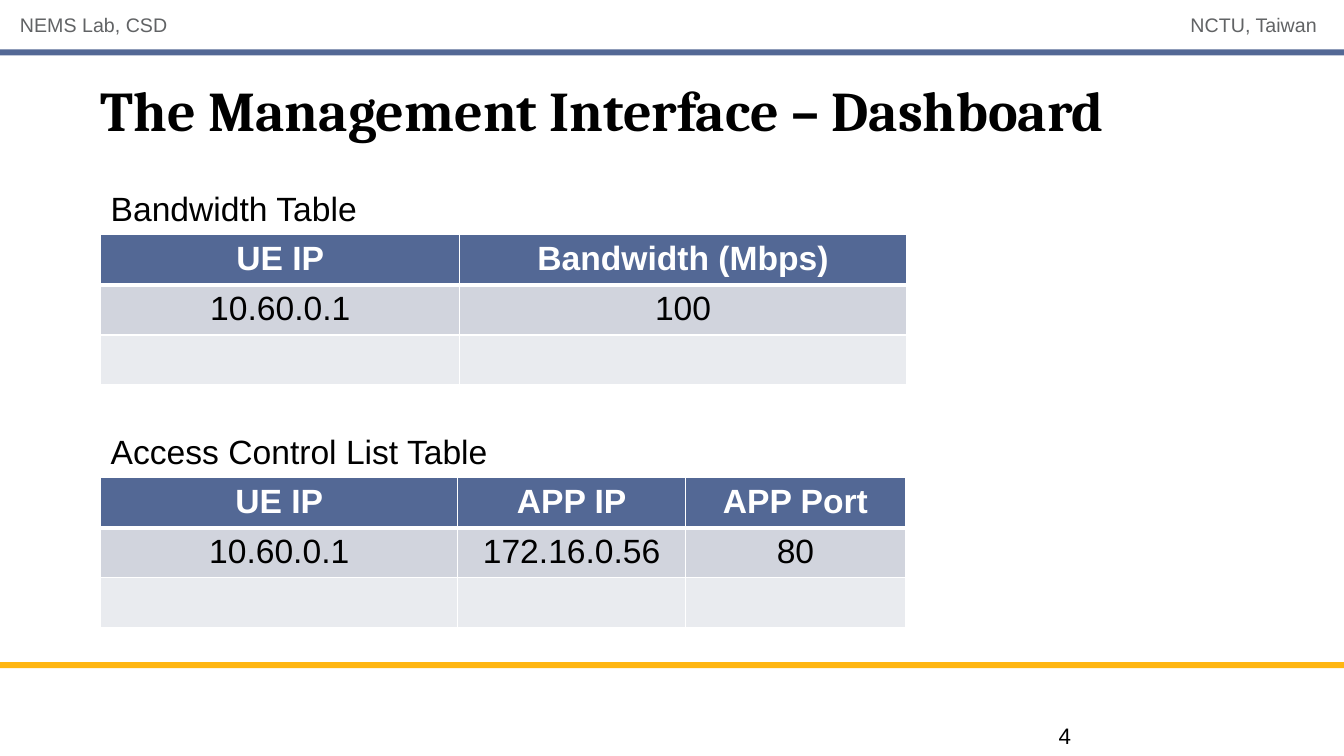
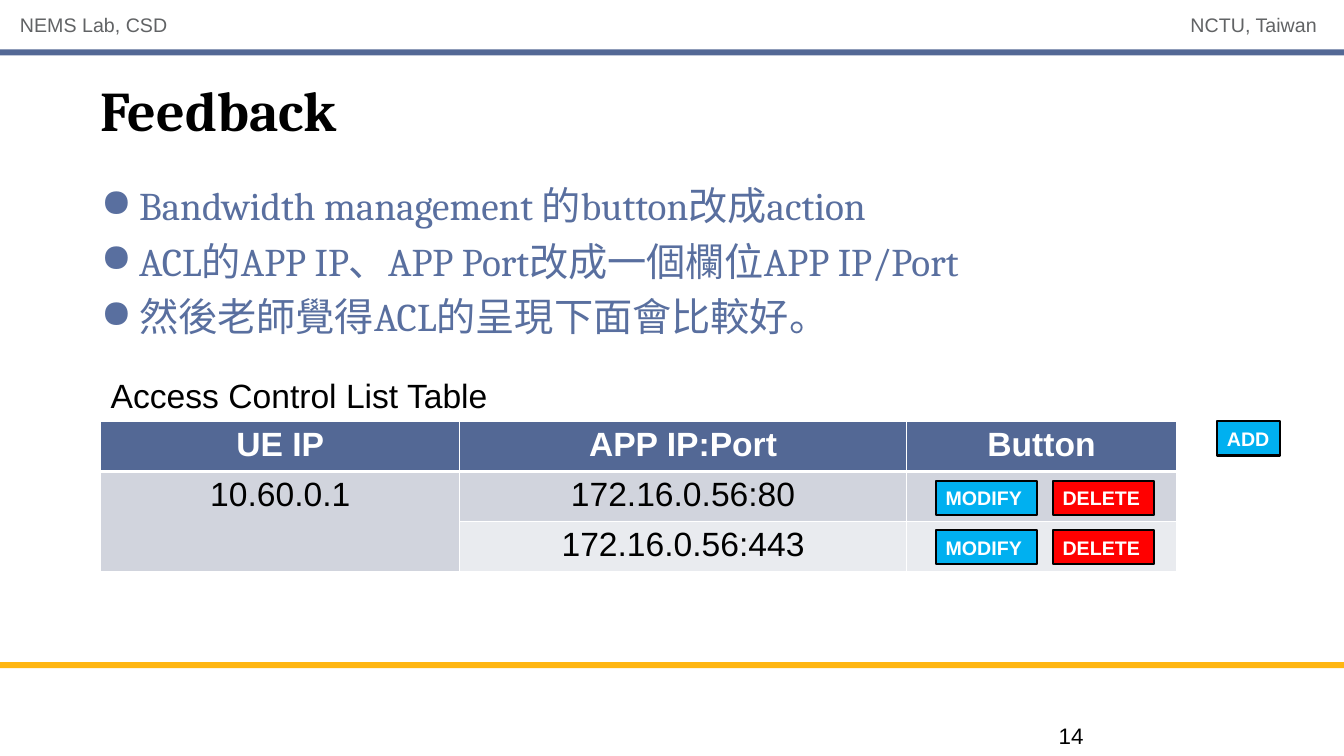
from dataclasses import dataclass

from lxml import etree
from pptx import Presentation
from pptx.dml.color import RGBColor
from pptx.enum.shapes import MSO_SHAPE
from pptx.enum.text import MSO_ANCHOR, MSO_AUTO_SIZE, PP_ALIGN
from pptx.oxml.ns import qn
from pptx.util import Inches, Pt

RECTANGLE = MSO_SHAPE.RECTANGLE
MIDDLE, TOP = MSO_ANCHOR.MIDDLE, MSO_ANCHOR.TOP
LEFT, CENTER, RIGHT = PP_ALIGN.LEFT, PP_ALIGN.CENTER, PP_ALIGN.RIGHT
NO_FIT = MSO_AUTO_SIZE.NONE


@dataclass(frozen=True)
class Theme:
    navy: str = "536895"
    gold: str = "FFB612"
    gray: str = "616365"
    bullet: str = "596F9F"
    black: str = "000000"
    white: str = "FFFFFF"
    row_dark: str = "D1D4DD"
    row_light: str = "E9EBEF"
    blue: str = "00B0F0"
    red: str = "FF0000"
    sans: str = "Arial"
    serif: str = "Cambria"


THEME = Theme()
STYLES = {
    "title": dict(name=THEME.serif, size=Pt(40), bold=True, color=THEME.black),
    "bullet": dict(name=THEME.serif, size=Pt(28), bold=False, color=THEME.bullet),
    "caption": dict(name=THEME.sans, size=Pt(24), bold=False, color=THEME.black),
    "table_head": dict(name=THEME.sans, size=Pt(24), bold=True, color=THEME.white),
    "band": dict(name=THEME.sans, size=Pt(14), bold=False, color=THEME.gray),
    "button": dict(name=THEME.sans, size=Pt(14), bold=True, color=THEME.white),
    "number": dict(name=THEME.sans, size=Pt(16), bold=False, color=THEME.black),
}

MARGIN = 1
ROW_HEIGHT = 1.49 / 3
CAPTION_HEIGHT = 0.5
INSET = (0.1, 0.05, 0.1, 0.05)
NO_INSET = (0, 0, 0, 0)

BANDS = [(6.57, THEME.gold), (0.49, THEME.navy)]
BAND_TEXTS = [
    ("NEMS Lab, CSD", 0.1, 5.87, LEFT),
    ("NCTU, Taiwan", 10.26, 2.9, RIGHT),
]
BUTTON_COLORS = {"ADD": THEME.blue, "MODIFY": THEME.blue, "DELETE": THEME.red}
ROW_BUTTONS = ["MODIFY", "DELETE"]

SLIDES = [
    dict(
        title="The Management Interface – Dashboard",
        number="4",
        tables=[
            dict(
                caption="Bandwidth Table", top=2.33, columns=[3.56, 4.43],
                rows=[["UE IP", "Bandwidth (Mbps)"], ["10.60.0.1", "100"], ["", ""]],
            ),
            dict(
                caption="Access Control List Table", top=4.74, columns=[3.54, 2.26, 2.18],
                rows=[["UE IP", "APP IP", "APP Port"],
                      ["10.60.0.1", "172.16.0.56", "80"], ["", "", ""]],
            ),
        ],
    ),
    dict(
        title="Feedback",
        number="14",
        bullets=[
            "Bandwidth management 的button改成action",
            "ACL的APP IP、APP Port改成一個欄位APP IP/Port",
            "然後老師覺得ACL的呈現下面會比較好。",
        ],
        tables=[
            dict(
                caption="Access Control List Table", top=4.18, columns=[3.56, 4.43, 2.68],
                rows=[["UE IP", "APP IP:Port", "Button"],
                      ["10.60.0.1", "172.16.0.56:80", ""], ["", "172.16.0.56:443", ""]],
                merge=((1, 0), (2, 0)), buttons=True,
            ),
        ],
    ),
]


def rgb(value):
    return RGBColor.from_string(value)


def write(para, text, style, align=LEFT):
    para.alignment = align
    span = para.add_run()
    span.text = text
    for name, value in STYLES[style].items():
        if name == "color":
            span.font.color.rgb = rgb(value)
        else:
            setattr(span.font, name, value)


def set_frame(frame, inset=INSET, anchor=TOP, wrap=True):
    values = dict(word_wrap=wrap, auto_size=NO_FIT, vertical_anchor=anchor)
    sides = ("margin_left", "margin_top", "margin_right", "margin_bottom")
    values.update(zip(sides, map(Inches, inset)))
    for name, value in values.items():
        setattr(frame, name, value)


def add_text(page, area, text, style, align=LEFT, **frame_format):
    box = page.shapes.add_textbox(*map(Inches, area))
    set_frame(box.text_frame, **frame_format)
    write(box.text_frame.paragraphs[0], text, style, align)
    return box


def add_rectangle(page, area, fill, line=None):
    box = page.shapes.add_shape(RECTANGLE, *map(Inches, area))
    box.shadow.inherit = False
    box.fill.solid()
    box.fill.fore_color.rgb = rgb(fill)
    if line:
        box.line.color.rgb = rgb(line)
        box.line.width = Pt(1.5)
    else:
        box.line.fill.background()
    return box


def add_button(page, left, top, label, width):
    box = add_rectangle(page, (left, top, width, 0.34), BUTTON_COLORS[label], THEME.black)
    set_frame(box.text_frame, inset=(0.1, 0.05, 0, 0.05), anchor=MIDDLE)
    write(box.text_frame.paragraphs[0], label, "button")


def add_bands(page, layout):
    parts = [add_rectangle(page, (0, top, 13.33, 0.06), color) for top, color in BANDS]
    for text, left, width, align in BAND_TEXTS:
        box = add_text(page, (left, 0.09, width, 0.36), text, "band", align)
        box.text_frame.paragraphs[0].line_spacing = Pt(16)
        parts.append(box)
    for part in parts:
        layout.shapes._spTree.append(part._element)


def set_title(page, text):
    title = page.shapes.title
    title.left, title.top, title.width, title.height = map(Inches, (MARGIN, 0.65, 11.33, 0.86))
    set_frame(title.text_frame, inset=NO_INSET, anchor=MIDDLE)
    write(title.text_frame.paragraphs[0], text, "title")


def add_bullets(page, lines):
    frame = page.shapes.add_textbox(*map(Inches, (MARGIN, 1.8, 11.29, 1.8))).text_frame
    set_frame(frame, inset=NO_INSET)
    for index, line in enumerate(lines):
        para = frame.add_paragraph() if index else frame.paragraphs[0]
        write(para, line, "bullet")
        para.space_after = Pt(6)
        props = para._p.get_or_add_pPr()
        props.set("marL", str(Inches(0.38)))
        props.set("indent", str(-Inches(0.38)))
        etree.SubElement(props, qn("a:buChar")).set("char", "●")


def set_borders(cell, row):
    props = cell._tc.get_or_add_tcPr()
    widths = dict(L=1, R=1, T=3 if row == 1 else 1, B=3 if row == 0 else 1)
    for index, (side, width) in enumerate(widths.items()):
        line = etree.Element(qn("a:ln" + side), w=str(Pt(width)))
        fill = etree.SubElement(line, qn("a:solidFill"))
        etree.SubElement(fill, qn("a:srgbClr")).set("val", THEME.white)
        props.insert(index, line)


def add_grid(page, top, columns, rows, merge=None):
    area = (MARGIN, top, sum(columns), ROW_HEIGHT * len(rows))
    table = page.shapes.add_table(len(rows), len(columns), *map(Inches, area)).table
    for column, width in zip(table.columns, columns):
        column.width = Inches(width)
    fills = [THEME.navy, THEME.row_dark, THEME.row_light]
    for row, texts in enumerate(rows):
        table.rows[row].height = Inches(ROW_HEIGHT)
        for column, text in enumerate(texts):
            cell = table.cell(row, column)
            cell.fill.solid()
            cell.fill.fore_color.rgb = rgb(fills[row])
            set_borders(cell, row)
            if text:
                style = "caption" if row else "table_head"
                write(cell.text_frame.paragraphs[0], text, style, CENTER)
    if merge:
        table.cell(*merge[0]).merge(table.cell(*merge[1]))


def add_table_block(page, caption, top, columns, rows, merge=None, buttons=False):
    add_text(page, (MARGIN, top - CAPTION_HEIGHT - 0.01, 4, CAPTION_HEIGHT),
             caption, "caption")
    add_grid(page, top, columns, rows, merge)
    if buttons:
        add_button(page, 12.07, top, "ADD", 0.63)
        for row in range(len(rows) - 1):
            for column, label in enumerate(ROW_BUTTONS):
                add_button(page, 9.28 + 1.16 * column, top + 0.59 + 0.49 * row, label, 1.01)


def main():
    deck = Presentation()
    deck.slide_width, deck.slide_height = Inches(13.33), Inches(7.5)
    layout = deck.slide_layouts[5]
    for index, content in enumerate(SLIDES):
        page = deck.slides.add_slide(layout)
        if index == 0:
            add_bands(page, layout)
        set_title(page, content["title"])
        if "bullets" in content:
            add_bullets(page, content["bullets"])
        for block in content["tables"]:
            add_table_block(page, **block)
        add_text(page, (10.5, 7.14, 2.67, 0.32), content["number"], "number",
                 inset=NO_INSET, anchor=MIDDLE)
    deck.save("out.pptx")


if __name__ == "__main__":
    main()
